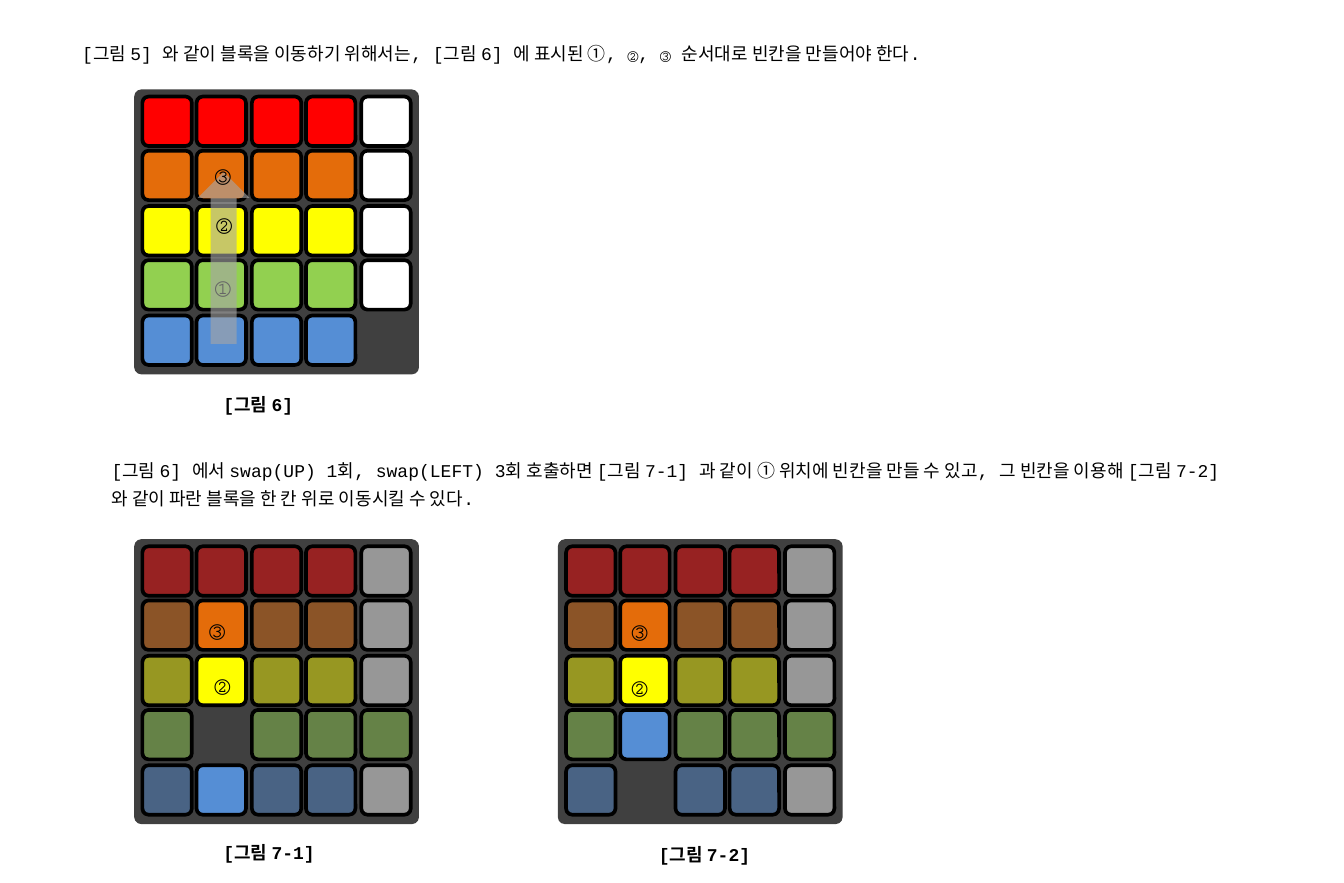
from dataclasses import dataclass

import lxml.etree
import pptx
import pptx.dml.color
import pptx.enum.shapes
import pptx.enum.text
import pptx.oxml.ns
import pptx.shapes.autoshape
import pptx.util

RGBColor = pptx.dml.color.RGBColor
MSO_SHAPE = pptx.enum.shapes.MSO_SHAPE
PP_ALIGN = pptx.enum.text.PP_ALIGN
MSO_ANCHOR = pptx.enum.text.MSO_ANCHOR

EMU_PER_PX = 9144
SLIDE_WIDTH, SLIDE_HEIGHT = 1142, 750
FONT = "Courier New"

BLACK = RGBColor(0x00, 0x00, 0x00)
BOARD_GRAY = RGBColor(0x40, 0x40, 0x40)
ARROW_GRAY = RGBColor(0xA6, 0xA6, 0xA6)
BLOCK_COLORS = {
    "R": RGBColor(0xFF, 0x00, 0x00),
    "O": RGBColor(0xE4, 0x6C, 0x0A),
    "Y": RGBColor(0xFF, 0xFF, 0x00),
    "G": RGBColor(0x92, 0xD0, 0x50),
    "B": RGBColor(0x55, 0x8E, 0xD5),
    "W": RGBColor(0xFF, 0xFF, 0xFF),
}
EMPTY_CELL = "."
FADED_OPACITY = 46
ARROW_OPACITY = 62

BOARD_SIZE = 242
BLOCK_SIZE = 42
TWO_BLOCK_PITCH = 93
BLOCK_INSET_X, BLOCK_INSET_Y = 7, 6


@dataclass(frozen=True)
class Box:
    left: int
    top: int
    width: int
    height: int


@dataclass(frozen=True)
class Label:
    text: str
    box: Box
    size: int = 11
    bold: bool = False
    align: PP_ALIGN = PP_ALIGN.LEFT
    anchor: MSO_ANCHOR = MSO_ANCHOR.TOP
    line_spacing: float = 1.3


@dataclass(frozen=True)
class Board:
    """Rows hold one letter per block; lower case is a faded block."""
    left: int
    top: int
    rows: tuple[str, ...]
    markers: tuple[Label, ...]
    arrow: Box | None = None


def marker(text: str, box: Box, align: PP_ALIGN = PP_ALIGN.LEFT,
           anchor: MSO_ANCHOR = MSO_ANCHOR.MIDDLE, line_spacing: float = 1.3) -> Label:
    return Label(text, box, 16, False, align, anchor, line_spacing)


LABELS = (
    Label("[그림 5] 와 같이 블록을 이동하기 위해서는, [그림 6] 에 표시된 ①, ②, ③ "
          "순서대로 빈칸을 만들어야 한다.", Box(60, 26, 905, 32)),
    Label("[그림 6]", Box(180, 324, 91, 32), bold=True),
    Label("[그림 6] 에서 swap(UP) 1회, swap(LEFT) 3회 호출하면 [그림 7-1] 과 같이 ① 위치에 "
          "빈칸을 만들 수 있고, 그 빈칸을 이용해 [그림 7-2] 와 같이 파란 블록을 한 칸 위로 "
          "이동시킬 수 있다.", Box(85, 380, 984, 56)),
    Label("[그림 7-1]", Box(180, 704, 114, 32), bold=True),
    Label("[그림 7-2]", Box(550, 706, 157, 32), bold=True),
)

BOARDS = (
    Board(114, 76, ("RRRRW", "OOOOW", "YYYYW", "GGGGW", "BBBB."), (
        marker("①", Box(165, 223, 49, 37), PP_ALIGN.CENTER, line_spacing=1.0),
        marker("②", Box(169, 169, 43, 37), PP_ALIGN.CENTER, line_spacing=1.0),
        marker("③", Box(169, 128, 41, 37), PP_ALIGN.CENTER, line_spacing=1.0),
    ), Box(168, 146, 44, 146)),
    Board(474, 458, ("rrrrw", "oOoow", "yYyyw", "gBggg", "b.bbw"), (
        marker("②", Box(527, 555, 43, 42), anchor=MSO_ANCHOR.TOP),
        marker("③", Box(527, 507, 46, 42), anchor=MSO_ANCHOR.TOP),
    )),
    Board(114, 458, ("rrrrw", "oOoow", "yYyyw", "g.ggg", "bBbbw"), (
        marker("②", Box(168, 554, 42, 42), PP_ALIGN.CENTER),
        marker("③", Box(168, 508, 48, 42)),
    )),
)


def px(length: int) -> pptx.util.Emu:
    return pptx.util.Emu(length * EMU_PER_PX)


def place(box: Box) -> tuple[pptx.util.Emu, ...]:
    return px(box.left), px(box.top), px(box.width), px(box.height)


def add_filled_shape(shapes, preset: MSO_SHAPE, box: Box, color: RGBColor,
                     opacity: int = 100) -> pptx.shapes.autoshape.Shape:
    """Add a shape without shadow or outline; opacity is in percent."""
    shape = shapes.add_shape(preset, *place(box))
    shape.shadow.inherit = False
    shape.fill.solid()
    shape.fill.fore_color.rgb = color
    shape.line.fill.background()
    if opacity < 100:
        fill_color = shape._element.spPr.find(pptx.oxml.ns.qn("a:solidFill"))[0]
        alpha = lxml.etree.SubElement(fill_color, pptx.oxml.ns.qn("a:alpha"))
        alpha.set("val", str(opacity * 1000))
    return shape


def add_label(shapes, label: Label) -> None:
    frame = shapes.add_textbox(*place(label.box)).text_frame
    frame.word_wrap = True
    frame.auto_size = pptx.enum.text.MSO_AUTO_SIZE.SHAPE_TO_FIT_TEXT
    frame.vertical_anchor = label.anchor
    paragraph = frame.paragraphs[0]
    paragraph.text = label.text
    paragraph.alignment = label.align
    paragraph.line_spacing = label.line_spacing
    paragraph.font.name = FONT
    paragraph.font.size = pptx.util.Pt(label.size)
    paragraph.font.bold = label.bold
    paragraph.font.color.rgb = BLACK


def add_block(shapes, board: Board, row: int, column: int, letter: str) -> None:
    box = Box(board.left + BLOCK_INSET_X + column * TWO_BLOCK_PITCH // 2,
              board.top + BLOCK_INSET_Y + row * TWO_BLOCK_PITCH // 2,
              BLOCK_SIZE, BLOCK_SIZE)
    opacity = FADED_OPACITY if letter.islower() else 100
    block = add_filled_shape(shapes, MSO_SHAPE.ROUNDED_RECTANGLE, box,
                             BLOCK_COLORS[letter.upper()], opacity)
    block.adjustments[0] = 0.125
    block.line.color.rgb = BLACK
    block.line.width = pptx.util.Pt(2.25)


def add_board(slide, board: Board) -> None:
    """Draw a board as one group, its arrow lying over the first marker only."""
    shapes = slide.shapes.add_group_shape().shapes
    base = add_filled_shape(shapes, MSO_SHAPE.ROUNDED_RECTANGLE,
                            Box(board.left, board.top, BOARD_SIZE, BOARD_SIZE), BOARD_GRAY)
    base.adjustments[0] = 0.025
    for row, letters in enumerate(board.rows):
        for column, letter in enumerate(letters):
            if letter != EMPTY_CELL:
                add_block(shapes, board, row, column, letter)
    first_marker, *other_markers = board.markers
    add_label(shapes, first_marker)
    if board.arrow:
        arrow = add_filled_shape(shapes, MSO_SHAPE.DOWN_ARROW, board.arrow,
                                 ARROW_GRAY, ARROW_OPACITY)
        arrow.rotation = 180
    for label in other_markers:
        add_label(shapes, label)


def main() -> None:
    presentation = pptx.Presentation()
    presentation.slide_width = px(SLIDE_WIDTH)
    presentation.slide_height = px(SLIDE_HEIGHT)
    slide = presentation.slides.add_slide(presentation.slide_layouts[6])
    for label in LABELS:
        add_label(slide.shapes, label)
    for board in BOARDS:
        add_board(slide, board)
    presentation.save("out.pptx")


if __name__ == "__main__":
    main()
